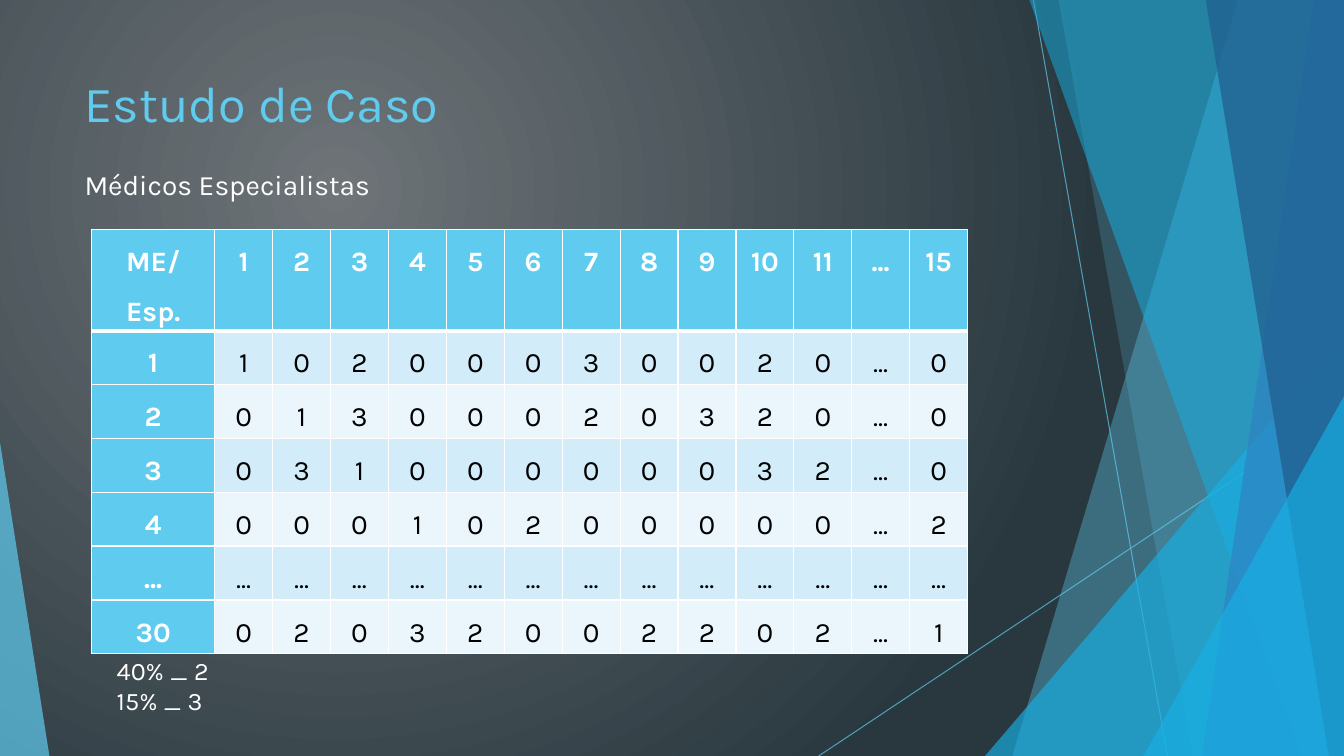
from pptx import Presentation
from pptx.dml.color import RGBColor
from pptx.enum.shapes import MSO_CONNECTOR, MSO_SHAPE
from pptx.enum.text import MSO_ANCHOR, MSO_AUTO_SIZE, PP_ALIGN
from pptx.oxml.ns import qn
from pptx.util import Inches, Pt
from lxml.etree import SubElement

W, H = 13.33, 7.5
FONT = "Karla"
C = {"sky": "5FCBEF", "cyan": "17B0E4", "blue": "2E83C3", "navy": "226292",
     "white": "FFFFFF", "black": "000000", "band": "D2ECF9", "pale": "EAF6FC",
     "bg_light": "6E7478", "bg_dark": "29383F"}

TITLE = "Estudo de Caso"
SUBTITLE = "Médicos Especialistas"
NOTES = ["40% _ 2", "15% _ 3"]
ROWS = [line.split() for line in (
    "ME/Esp. 1 2 3 4 5 6 7 8 9 10 11 ... 15",
    "1 1 0 2 0 0 0 3 0 0 2 0 ... 0",
    "2 0 1 3 0 0 0 2 0 3 2 0 ... 0",
    "3 0 3 1 0 0 0 0 0 0 3 2 ... 0",
    "4 0 0 0 1 0 2 0 0 0 0 0 ... 2",
    "... ... ... ... ... ... ... ... ... ... ... ... ... ...",
    "30 0 2 0 3 2 0 0 2 2 0 2 ... 1")]
TABLE_BOX = (0.91, 2.28, 8.69, 3.74)
FIRST_COL = 1.22
CELL_MARGIN = 0.08  # narrow enough for the corner label to wrap after its slash

RAYS = [(10.25, 0, 11.58, H), (W, 4.03, 8.12, H)]
# Back to front: bands are (top x, bottom x), triangles (left, top, right, apex)
FACETS = [
    ((12.28, 10.04), "sky", 36),
    ((10.5, 11.83), "sky", 20),
    ((9.77, 3.33, W, 1), "cyan", 66),
    ((10.21, 12.91), "cyan", 50),
    ((13.03, 11.92), "blue", 70),
    ((11.96, 13.18), "navy", 80),
    ((11.34, 3.93, W, 1), "cyan", 66),
    ((0, 4.39, 0.49, 0), "sky", 70)]


def rgb(name):
    return RGBColor.from_string(C[name])


def set_alpha(shape, percent):
    for color in shape.element.spPr.iter(qn("a:srgbClr")):
        SubElement(color, qn("a:alpha"), val=str(percent * 1000))


def write(tf, lines, size=20, color="white", bold=False, align=PP_ALIGN.LEFT, spacing=None):
    """Fill the first paragraph, with a line break between lines."""
    tf.word_wrap = True
    p = tf.paragraphs[0]
    p.alignment = align
    if spacing:
        p.line_spacing = spacing
    for i, line in enumerate(lines):
        if i:
            p.add_line_break()
        r = p.add_run()
        r.text = line
        r.font.name, r.font.size, r.font.bold = FONT, Pt(size), bold
        r.font.color.rgb = rgb(color)


def add_text(s, box, lines, **fmt):
    write(s.shapes.add_textbox(*map(Inches, box)).text_frame, lines, **fmt)


def set_background(s):
    fill = s.background.fill
    fill.gradient()
    for stop, name in zip(fill.gradient_stops, ("bg_light", "bg_dark")):
        stop.color.rgb = rgb(name)
    grad = s.element.find(".//" + qn("a:gradFill"))
    grad.remove(grad.find(qn("a:lin")))
    circle = SubElement(grad, qn("a:path"), path="circle")
    SubElement(circle, qn("a:fillToRect"), l="50000", t="50000", r="100000", b="100000")


def add_ray(s, ends):
    ray = s.shapes.add_connector(MSO_CONNECTOR.STRAIGHT, *map(Inches, ends))
    ray.line.color.rgb = rgb("sky")
    ray.line.width = Pt(0.75)
    set_alpha(ray, 70)
    SubElement(ray.element.spPr, qn("a:effectLst"))


def add_facet(s, geometry, color, opacity):
    if len(geometry) == 2:
        top, bottom = geometry
        points = [(Inches(x), Inches(y)) for x, y in ((top, 0), (W, 0), (W, H), (bottom, H))]
        outline = s.shapes.build_freeform(*points[0])
        outline.add_line_segments(points[1:])
        sp = outline.convert_to_shape()
    else:
        left, top, right, apex = geometry
        box = (left, top, right - left, H - top)
        sp = s.shapes.add_shape(MSO_SHAPE.ISOSCELES_TRIANGLE, *map(Inches, box))
        sp.adjustments[0] = apex
    sp.shadow.inherit = False
    sp.fill.solid()
    sp.fill.fore_color.rgb = rgb(color)
    sp.line.fill.background()
    set_alpha(sp, opacity)


def add_borders(cell, **widths):
    tc_pr = cell._tc.get_or_add_tcPr()
    for side in "LRTB":
        ln = SubElement(tc_pr, qn("a:ln" + side), w=str(Pt(widths.get(side, 1))))
        SubElement(SubElement(ln, qn("a:solidFill")), qn("a:srgbClr"), val=C["white"])


def add_schedule(s):
    n_rows, n_cols = len(ROWS), len(ROWS[0])
    table = s.shapes.add_table(n_rows, n_cols, *map(Inches, TABLE_BOX)).table
    for c, column in enumerate(table.columns):
        column.width = Inches((TABLE_BOX[2] - FIRST_COL) / (n_cols - 1) if c else FIRST_COL)
    for r, values in enumerate(ROWS):
        table.rows[r].height = Inches(TABLE_BOX[3] / n_rows)
        for c, value in enumerate(values):
            cell = table.cell(r, c)
            head = r == 0 or c == 0
            cell.margin_left = cell.margin_right = Inches(CELL_MARGIN)
            cell.margin_top = cell.margin_bottom = 0
            add_borders(cell, B=3 if r == 0 else 1, T=3 if r == 1 else 1)
            cell.fill.solid()
            cell.fill.fore_color.rgb = rgb("sky" if head else "band" if r % 2 else "pale")
            write(cell.text_frame, [value], color="white" if head else "black",
                  bold=head, align=PP_ALIGN.CENTER, spacing=1.5)


def main():
    prs = Presentation()
    prs.slide_width, prs.slide_height = Inches(W), Inches(H)
    s = prs.slides.add_slide(prs.slide_layouts[5])
    set_background(s)
    for ends in RAYS:
        add_ray(s, ends)
    for facet in FACETS:
        add_facet(s, *facet)

    title = s.shapes.title
    title.left, title.top, title.width, title.height = map(Inches, (0.74, 0.67, 9.4, 1.44))
    tf = title.text_frame
    tf.vertical_anchor = MSO_ANCHOR.TOP
    tf.auto_size = MSO_AUTO_SIZE.NONE
    write(tf, [TITLE], size=36, color="sky")
    add_text(s, (0.74, 1.61, 9.4, 0.5), [SUBTITLE])
    add_schedule(s)
    add_text(s, (1.06, 6.45, 2.87, 0.71), NOTES, size=18)
    prs.save("out.pptx")


if __name__ == "__main__":
    main()
